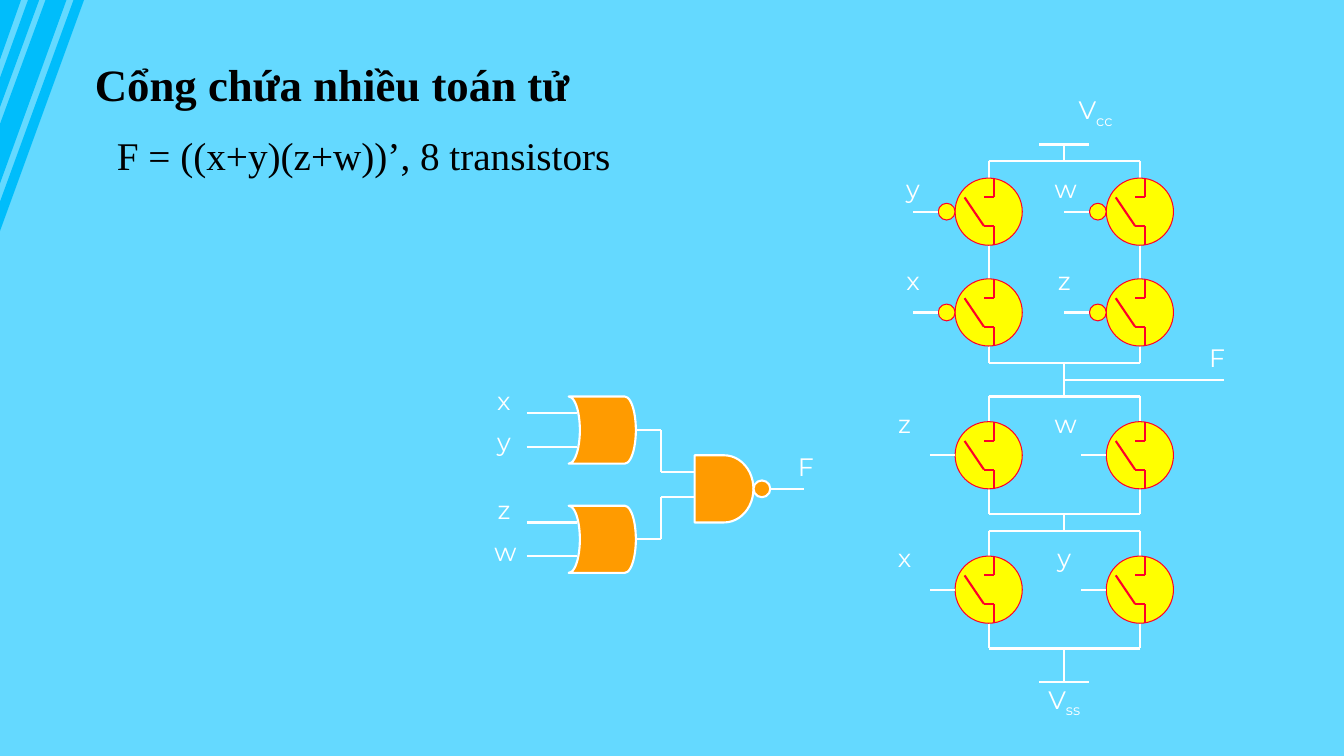
from itertools import pairwise

from lxml import etree
from pptx import Presentation
from pptx.dml.color import RGBColor
from pptx.enum.shapes import MSO_CONNECTOR, MSO_SHAPE as SHAPE
from pptx.enum.text import MSO_ANCHOR as ANCHOR, MSO_AUTO_SIZE as AUTO, PP_ALIGN as ALIGN
from pptx.oxml.ns import qn
from pptx.util import Pt

SKY = RGBColor(0x64, 0xD9, 0xFF)
STRIPE = RGBColor(0x00, 0xBD, 0xFB)
WHITE = RGBColor(0xFF, 0xFF, 0xFF)
BLACK = RGBColor(0x00, 0x00, 0x00)
YELLOW = RGBColor(0xFF, 0xFF, 0x00)
RED = RGBColor(0xFF, 0x00, 0x28)
ORANGE = RGBColor(0xFF, 0x9B, 0x00)


def draw_wire(shapes, color, *points):
    """Join the points with straight lines."""
    for (x1, y1), (x2, y2) in pairwise(points):
        wire = shapes.add_connector(MSO_CONNECTOR.STRAIGHT, Pt(x1), Pt(y1), Pt(x2), Pt(y2))
        wire.line.color.rgb = color
        wire.line.width = Pt(1.5)
        etree.SubElement(wire._element.spPr, qn("a:effectLst"))


def draw_part(shapes, kind, left, top, width, height, fill, outline, weight):
    part = shapes.add_shape(kind, Pt(left), Pt(top), Pt(width), Pt(height))
    part.shadow.inherit = False
    part.fill.solid()
    part.fill.fore_color.rgb = fill
    part.line.color.rgb = outline
    part.line.width = Pt(weight)
    return part


deck = Presentation()
deck.slide_width, deck.slide_height = Pt(960), Pt(540)
page = deck.slides.add_slide(deck.slide_layouts[1])
page.background.fill.solid()
page.background.fill.fore_color.rgb = SKY

# Corner stripes: inner and outer ends on the top edge and on the left edge
builder = page.shapes.build_freeform(0, 0, scale=1.0)
for number, (x1, x2, y1, y2) in enumerate([
        (0, 15, 0, 42.5), (20, 28, 55.5, 76.5), (32.5, 47.5, 88.5, 131), (52.5, 60, 144, 165)]):
    if number:
        builder.move_to(Pt(x1), 0)
    builder.add_line_segments([(Pt(x2), 0), (0, Pt(y2)), (0, Pt(y1))], close=True)
stripes = builder.convert_to_shape()
stripes.shadow.inherit = False
stripes.fill.solid()
stripes.fill.fore_color.rgb = STRIPE
stripes.line.fill.background()

# Title and formula
title, formula = page.placeholders
for box, text, place, size, bold, anchor in [
        (title, "Cổng chứa nhiều toán tử", (60.5, 36.7, 356.5, 46), 32, True, ANCHOR.MIDDLE),
        (formula, "F = ((x+y)(z+w))’, 8 transistors", (76.3, 90, 371, 41), 28, False, ANCHOR.TOP)]:
    box.left, box.top, box.width, box.height = map(Pt, place)
    frame = box.text_frame
    frame.text = text
    frame.word_wrap = False
    frame.auto_size = AUTO.NONE
    frame.vertical_anchor = anchor
    para = frame.paragraphs[0]
    para.alignment = ALIGN.LEFT
    para.space_before = Pt(0)
    properties = para._p.get_or_add_pPr()
    properties.set("marL", "0")
    properties.set("indent", "0")
    etree.SubElement(properties, qn("a:buNone"))
    font = para.runs[0].font
    font.name, font.size, font.bold = "Times New Roman", Pt(size), bold
    font.color.rgb = BLACK

# Labels as text, subscript, centre, top
labels = [("F", "", 575.6, 319), ("F", "", 869.4, 241.2),
          ("V", "cc", 782.6, 67), ("V", "ss", 760.2, 488.2)]

# OR gates with their inputs and the wire to the NAND gate
for names, middle, nand_input in [("xy", 307.2, 337.2), ("zw", 385.2, 355.2)]:
    for name, offset, label_offset in zip(names, (-12, 12), (-35.8, -6)):
        draw_wire(page.shapes, WHITE, (376.2, middle + offset), (412.2, middle + offset))
        labels.append((name, "", 360, middle + label_offset))
    gate = draw_part(page.shapes, SHAPE.FLOWCHART_STORED_DATA, 406.2, middle - 24, 48, 48,
                     ORANGE, WHITE, 1.5)
    gate.rotation = 180
    draw_wire(page.shapes, WHITE, (454.2, middle), (472.2, middle),
              (472.2, nand_input), (496.2, nand_input))

# NAND gate
draw_part(page.shapes, SHAPE.FLOWCHART_DELAY, 496.2, 325.2, 42, 48, ORANGE, WHITE, 1.5)
draw_part(page.shapes, SHAPE.FLOWCHART_CONNECTOR, 538.2, 343.2, 12, 12, ORANGE, WHITE, 1.5)
draw_wire(page.shapes, WHITE, (550.2, 349.2), (574.2, 349.2))

# Supply bars, centre links and output of the transistor circuit
LEFT, CENTER, RIGHT = 706.2, 760.2, 814.2
for bar in (103.2, 487.2):
    draw_wire(page.shapes, WHITE, (CENTER - 18, bar), (CENTER + 18, bar))
for top, bottom in [(103.2, 115.2), (259.2, 283.2), (367.2, 379.2), (463.2, 487.2)]:
    draw_wire(page.shapes, WHITE, (CENTER, top), (CENTER, bottom))
draw_wire(page.shapes, WHITE, (CENTER, 271.2), (874.2, 271.2))

# Loops through the transistors: top rail, bottom rail, transistor rows
for top, bottom, rows in [(115.2, 259.2, (151.2, 223.2)),
                          (283.2, 367.2, (325.2,)), (379.2, 463.2, (421.2,))]:
    for rail in (top, bottom):
        draw_wire(page.shapes, WHITE, (LEFT, rail), (RIGHT, rail))
    for x in (LEFT, RIGHT):
        stops = [top, *(row + side for row in rows for side in (-24, 24)), bottom]
        for start, end in zip(stops[::2], stops[1::2]):
            draw_wire(page.shapes, WHITE, (x, start), (x, end))

# Transistors: row centre, label names, label top, inverted input or not
for y, names, label_top, inverted in [
        (151.2, "yw", 120.2, True), (223.2, "xz", 185.8, True),
        (325.2, "zw", 288, False), (421.2, "xy", 383.8, False)]:
    for x, name in zip((LEFT, RIGHT), names):
        transistor = page.shapes.add_group_shape().shapes
        draw_part(transistor, SHAPE.FLOWCHART_CONNECTOR, x - 24, y - 24, 48, 48, YELLOW, RED, 0.75)
        draw_wire(transistor, RED, (x + 3.6, y - 24), (x + 3.6, y - 10.2), (x - 3.4, y - 10.2))
        draw_wire(transistor, RED, (x + 3.6, y + 24), (x + 3.6, y + 10.2),
                  (x - 3.4, y + 10.2), (x - 17.2, y - 10.2))
        input_end = x - 24
        if inverted:
            input_end -= 12
            draw_part(transistor, SHAPE.FLOWCHART_CONNECTOR, input_end, y - 6, 12, 12,
                      YELLOW, RED, 0.75)
        draw_wire(page.shapes, WHITE, (input_end - 18, y), (input_end, y))
        label_x = 646.2 if x == LEFT and not inverted else x - 54
        labels.append((name, "", label_x, label_top))

# Label text
for text, subscript, center, top in labels:
    width = 44 if subscript else 28
    box = page.shapes.add_textbox(Pt(center - width / 2), Pt(top), Pt(width), Pt(28.8))
    frame = box.text_frame
    frame.word_wrap = False
    frame.vertical_anchor = ANCHOR.BOTTOM
    para = frame.paragraphs[0]
    para.alignment = ALIGN.CENTER
    for part in filter(None, (text, subscript)):
        span = para.add_run()
        span.text = part
        span.font.name, span.font.size = "Montserrat", Pt(18)
        span.font.color.rgb = WHITE
        if part == subscript:
            span._r.get_or_add_rPr().set("baseline", "-25000")

deck.save("out.pptx")
